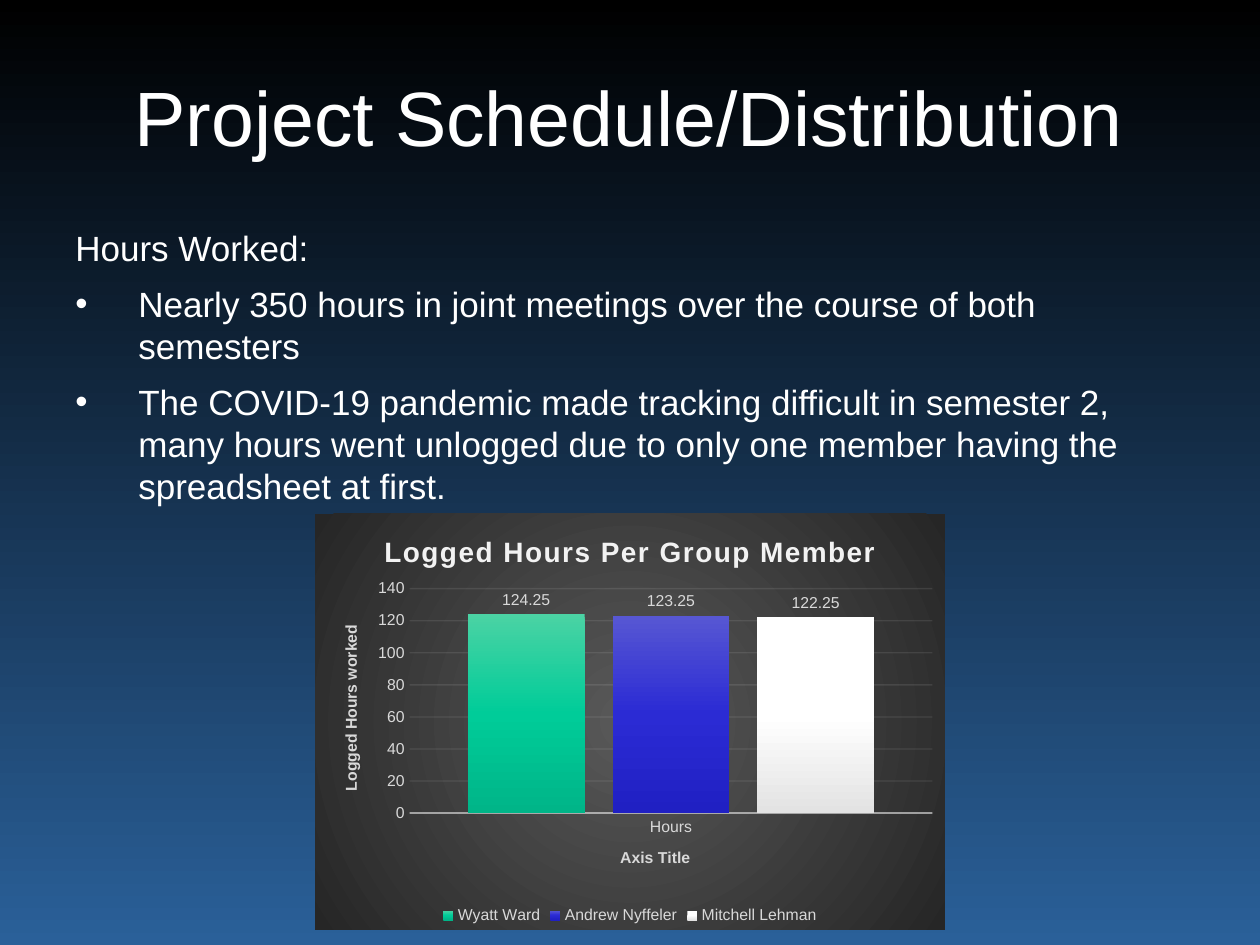
from lxml import etree
from pptx import Presentation
from pptx.chart.data import CategoryChartData
from pptx.dml.color import RGBColor
from pptx.enum.chart import XL_CHART_TYPE, XL_LABEL_POSITION, XL_LEGEND_POSITION, XL_TICK_MARK
from pptx.enum.text import MSO_ANCHOR, PP_ALIGN
from pptx.oxml import parse_xml
from pptx.oxml.ns import nsdecls, qn
from pptx.util import Cm, Pt

COLUMN = XL_CHART_TYPE.COLUMN_CLUSTERED
OUTSIDE = XL_LABEL_POSITION.OUTSIDE_END
BOTTOM = XL_LEGEND_POSITION.BOTTOM
NO_TICK = XL_TICK_MARK.NONE
MIDDLE = MSO_ANCHOR.MIDDLE
CENTER = PP_ALIGN.CENTER

FONT = "Arial"
WHITE, PALE, LIGHT = "FFFFFF", "F2F2F2", "D9D9D9"

SERIES = [
    ("Wyatt Ward", 124.25, ("4BD3A4", "00CC99", "00B588")),
    ("Andrew Nyffeler", 123.25, ("5757D3", "2B2BD4", "2020C3")),
    ("Mitchell Lehman", 122.25, ("FFFFFF", "FFFFFF", "E3E3E3")),
]
BULLETS = [
    "Nearly 350 hours in joint meetings over the course of both semesters",
    "The COVID-19 pandemic made tracking difficult in semester 2, many hours went "
    "unlogged due to only one member having the spreadsheet at first.",
]


def color(value):
    return RGBColor.from_string(value)


def set_font(font, size, value, bold=False):
    for name, setting in {"name": FONT, "size": Pt(size), "bold": bold}.items():
        setattr(font, name, setting)
    font.color.rgb = color(value)


def gradient(colors, radial=False):
    step = 100000 // (len(colors) - 1)
    stops = "".join(
        f'<a:gs pos="{i * step}"><a:srgbClr val="{c}"/></a:gs>' for i, c in enumerate(colors)
    )
    direction = '<a:lin ang="5400000" scaled="0"/>'
    if radial:
        direction = (
            '<a:path path="circle"><a:fillToRect l="50000" t="50000" '
            'r="50000" b="50000"/></a:path>'
        )
    return parse_xml(
        f'<a:gradFill {nsdecls("a")} rotWithShape="1"><a:gsLst>{stops}</a:gsLst>{direction}</a:gradFill>'
    )


def set_gradient(fill, parent, colors):
    fill.solid()
    solid = parent.find(".//" + qn("a:solidFill"))
    solid.getparent().replace(solid, gradient(colors))


def set_line(line, value, width, alpha):
    line.width = Pt(width)
    line.color.rgb = color(value)
    clr = line._get_or_add_ln().find(".//" + qn("a:srgbClr"))
    etree.SubElement(clr, qn("a:alpha")).set("val", str(alpha * 1000))


def text_frame(s, box):
    tf = s.shapes.add_textbox(*map(Cm, box)).text_frame
    tf.word_wrap = True
    return tf


def add_title(s, box):
    tf = text_frame(s, box)
    tf.vertical_anchor = MIDDLE
    p = tf.paragraphs[0]
    p.alignment = CENTER
    r = p.add_run()
    r.text = "Project Schedule/Distribution"
    set_font(r.font, 44, WHITE)


def add_body(s, box):
    tf = text_frame(s, box)
    for i, text in enumerate(["Hours Worked:"] + BULLETS):
        p = tf.add_paragraph() if i else tf.paragraphs[0]
        p.space_before = Pt(8)
        r = p.add_run()
        r.text = text
        set_font(r.font, 20, WHITE)
        pPr = p._p.get_or_add_pPr()
        indent = Cm(1.27 if i else 0.95)
        pPr.set("marL", str(indent))
        pPr.set("indent", str(-indent))
        if i:
            etree.SubElement(pPr, qn("a:buFont")).set("typeface", FONT)
            etree.SubElement(pPr, qn("a:buChar")).set("char", "•")


def set_heading(tf, text, size, value):
    tf.text = text
    font = tf.paragraphs[0].runs[0].font
    set_font(font, size, value, True)
    return font


def format_axis(axis, title):
    axis.major_tick_mark = axis.minor_tick_mark = NO_TICK
    set_font(axis.tick_labels.font, 9, LIGHT)
    set_heading(axis.axis_title.text_frame, title, 9, LIGHT)


def set_plot_area(chart, x, y, w, h):
    area = chart._chartSpace.find(".//" + qn("c:plotArea"))
    for old in area.findall(qn("c:layout")):
        area.remove(old)
    sizes = "".join(
        f'<c:{tag} val="{val}"/>' for tag, val in zip("xywh", (x, y, w, h))
    )
    area.insert(0, parse_xml(
        f'<c:layout {nsdecls("c")}><c:manualLayout><c:layoutTarget val="inner"/>'
        f'<c:xMode val="edge"/><c:yMode val="edge"/>{sizes}</c:manualLayout></c:layout>'
    ))


def add_hours_chart(s, box):
    data = CategoryChartData(number_format="General")
    data.categories = ["Hours"]
    for name, hours, _ in SERIES:
        data.add_series(name, [hours])
    chart = s.shapes.add_chart(COLUMN, *map(Cm, box), data).chart
    set_font(chart.font, 10, LIGHT)

    backdrop = parse_xml(f'<c:spPr {nsdecls("c", "a")}><a:ln><a:noFill/></a:ln></c:spPr>')
    backdrop.insert(0, gradient(("595959", "262626"), radial=True))
    chart._chartSpace.find(qn("c:chart")).addnext(backdrop)

    font = set_heading(chart.chart_title.text_frame, "Logged Hours Per Group Member", 16, PALE)
    font._element.set("spc", "100")

    format_axis(chart.category_axis, "Axis Title")
    set_line(chart.category_axis.format.line, PALE, 1, 54)
    values = chart.value_axis
    format_axis(values, "Logged Hours worked")
    values.format.line.fill.background()
    for name, setting in {"minimum_scale": 0, "maximum_scale": 140, "major_unit": 20}.items():
        setattr(values, name, setting)
    set_line(values.major_gridlines.format.line, PALE, 0.75, 10)

    chart.has_legend = True
    chart.legend.position = BOTTOM
    chart.legend.include_in_layout = False
    set_font(chart.legend.font, 9, LIGHT)

    plot = chart.plots[0]
    plot.gap_width, plot.overlap, plot.vary_by_categories = 100, -24, False
    for ser, (_, _, colors) in zip(plot.series, SERIES):
        set_gradient(ser.format.fill, ser._element, colors)
        ser.invert_if_negative = False
        labels = ser.data_labels
        labels.show_value = True
        labels.position = OUTSIDE
        set_font(labels.font, 9, LIGHT)
    set_plot_area(chart, 0.15, 0.18, 0.83, 0.54)


def main():
    prs = Presentation()
    prs.slide_width, prs.slide_height = Cm(25.4), Cm(19.05)
    s = prs.slides.add_slide(prs.slide_layouts[6])
    set_gradient(s.background.fill, s._element, ("000000", "2A6099"))
    add_title(s, (1.27, 0.76, 22.83, 3.15))
    add_body(s, (1.27, 4.45, 22.83, 12.55))
    add_hours_chart(s, (6.35, 10.36, 12.7, 8.38))
    prs.save("out.pptx")


if __name__ == "__main__":
    main()
